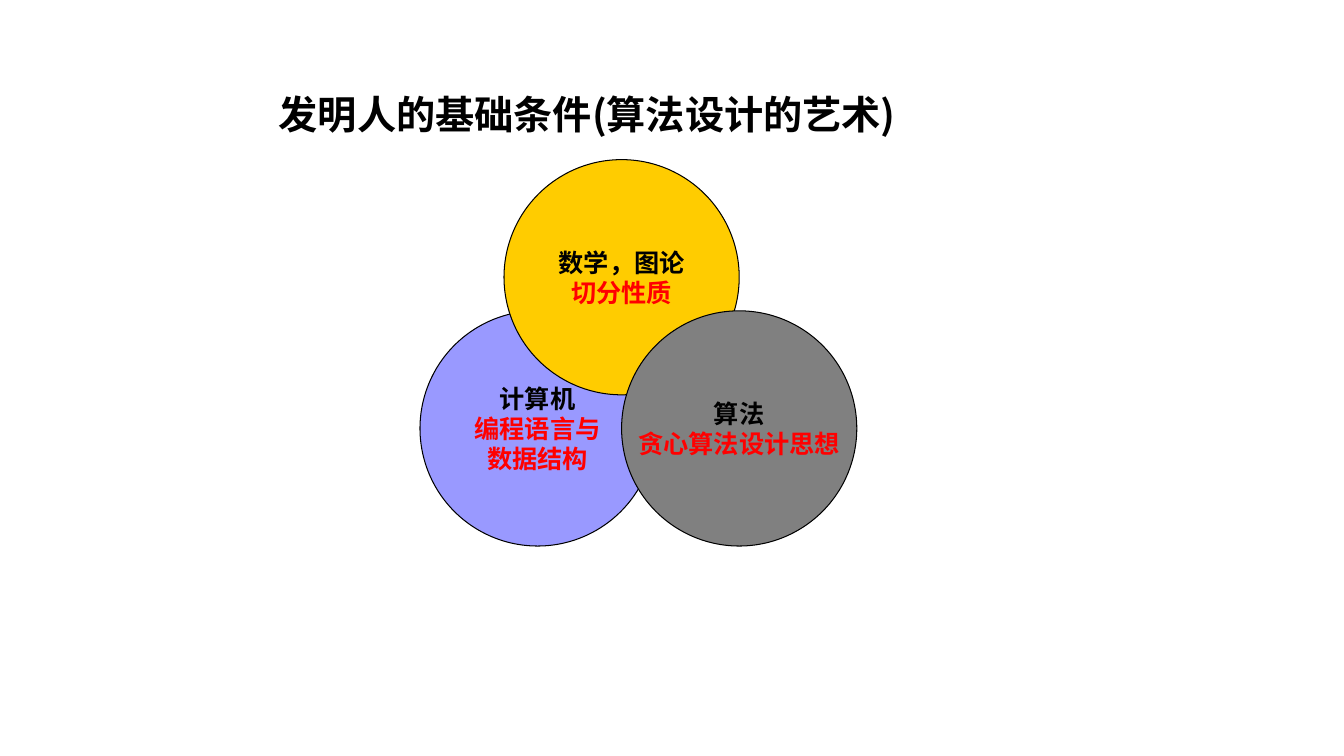
from lxml.etree import SubElement
from pptx import Presentation
from pptx.dml.color import RGBColor
from pptx.enum.shapes import MSO_SHAPE
from pptx.enum.text import MSO_ANCHOR, MSO_AUTO_SIZE, PP_ALIGN
from pptx.oxml.ns import qn
from pptx.util import Pt

BLACK = RGBColor(0, 0, 0)
RED = RGBColor(255, 0, 0)
BLUE = RGBColor(0x99, 0x99, 0xFF)
GOLD = RGBColor(0xFF, 0xCC, 0)
GRAY = RGBColor(0x80, 0x80, 0x80)

TITLE = "发明人的基础条件(算法设计的艺术)"
SKILLS = [
    (300, 222, BLUE, ["计算机", "编程语言与", "数据结构"]),
    (360, 114, GOLD, ["数学，图论", "切分性质"]),
    (444, 222, GRAY, ["算法", "贪心算法设计思想"]),
]
SIZE = 168


def write(para, text, size=18, face="Arial", color=BLACK, align=PP_ALIGN.CENTER):
    para.alignment = align
    run = para.add_run()
    run.text = text
    font = run.font
    font.size = Pt(size)
    font.bold = True
    font.name = face
    font.color.rgb = color
    SubElement(run._r.get_or_add_rPr(), qn("a:ea"), typeface=face)


deck = Presentation()
deck.slide_width, deck.slide_height = Pt(960), Pt(540)
slide = deck.slides.add_slide(deck.slide_layouts[5])

title = slide.shapes.title
title.left, title.top, title.width, title.height = Pt(192), Pt(60), Pt(648), Pt(42)
frame = title.text_frame
frame.auto_size = MSO_AUTO_SIZE.NONE
frame.vertical_anchor = MSO_ANCHOR.MIDDLE
write(frame.paragraphs[0], TITLE, size=28, face="Noto Sans CJK SC", align=PP_ALIGN.LEFT)

for left, top, fill, lines in SKILLS:
    disc = slide.shapes.add_shape(MSO_SHAPE.OVAL, Pt(left), Pt(top), Pt(SIZE), Pt(SIZE))
    disc.shadow.inherit = False
    disc.fill.solid()
    disc.fill.fore_color.rgb = fill
    disc.line.color.rgb = BLACK
    disc.line.width = Pt(0.75)
    frame = disc.text_frame
    frame.word_wrap = False
    frame.vertical_anchor = MSO_ANCHOR.MIDDLE
    for row, text in enumerate(lines):
        para = frame.add_paragraph() if row else frame.paragraphs[0]
        write(para, text, color=RED if row else BLACK)

deck.save("out.pptx")
